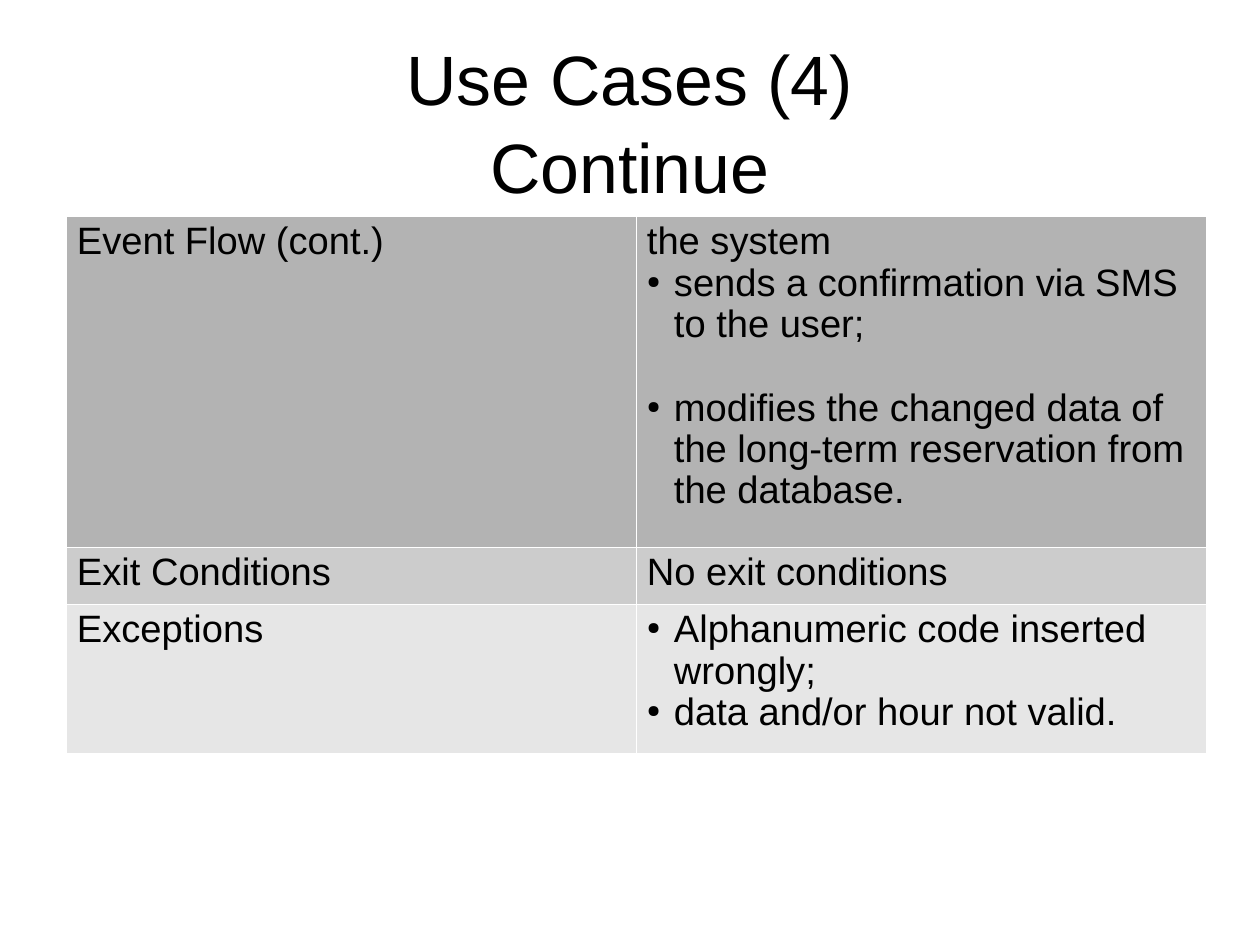
"""Build the use case table slide and save it."""
from lxml import etree
from pptx import Presentation, util as u
from pptx.dml.color import RGBColor
from pptx.enum import text
from pptx.oxml import ns

TITLE = "Use Cases (4)\vContinue"
ROWS = [
    ("Event Flow (cont.)",
     ["the system",
      "• sends a confirmation via SMS to the user;",
      "• modifies the changed data of the long-term reservation from the database."]),
    ("Exit Conditions", ["No exit conditions"]),
    ("Exceptions",
     ["• Alphanumeric code inserted wrongly;",
      "• data and/or hour not valid."]),
]
ROW_HEIGHTS = [331, 57, 149]
SPACED = {ROWS[0][1][2]: 27}

THEME = {
    "font": "Arial", "ink": "000000", "border": "FFFFFF",
    "fills": ["B3B3B3", "CCCCCC", "E6E6E6"],
    "title": 44, "body": 24,
}
SCALE = 8000
SLIDE = (1260, 945)
TITLE_BOX = (63, 40, 1134, 158)
TABLE_LEFT, TABLE_TOP, COLUMN = 66, 216, 570
INSET_X, INSET_Y, INDENT = 11, 6, 27


def px(n):
    return u.Emu(n * SCALE)


def add_child(parent, tag, **attrs):
    child = etree.SubElement(parent, ns.qn(tag))
    for key, value in attrs.items():
        child.set(key, str(value))
    return child


def write(p, content, size=THEME["body"], align=text.PP_ALIGN.LEFT,
          spacing=0.97, before=0, bullet=False):
    p.text = content
    p.alignment = align
    p.line_spacing = spacing
    p.space_before = u.Pt(before)
    for r in p.runs:
        r.font.size = u.Pt(size)
        r.font.name = THEME["font"]
        r.font.bold = False
        r.font.color.rgb = RGBColor.from_string(THEME["ink"])
    if bullet:
        pPr = p._p.get_or_add_pPr()
        pPr.set("marL", str(px(INDENT)))
        pPr.set("indent", str(-px(INDENT)))
        add_child(add_child(pPr, "a:buClr"), "a:srgbClr", val=THEME["ink"])
        add_child(pPr, "a:buSzPct", val=45000)
        add_child(pPr, "a:buChar", char="●")


def style_cell(cell, fill):
    cell.margin_left = cell.margin_right = px(INSET_X)
    cell.margin_top = cell.margin_bottom = px(INSET_Y)
    cell.fill.solid()
    cell.fill.fore_color.rgb = RGBColor.from_string(fill)
    tcPr = cell._tc.get_or_add_tcPr()
    for i, side in enumerate(("lnL", "lnR", "lnT", "lnB")):
        ln = add_child(tcPr, f"a:{side}", w=762)
        add_child(add_child(ln, "a:solidFill"), "a:srgbClr", val=THEME["border"])
        tcPr.insert(i, ln)


def add_title(s):
    tf = s.shapes.add_textbox(*map(px, TITLE_BOX)).text_frame
    tf.word_wrap = True
    tf.vertical_anchor = text.MSO_ANCHOR.MIDDLE
    tf.margin_left = tf.margin_right = tf.margin_top = tf.margin_bottom = 0
    write(tf.paragraphs[0], TITLE, size=THEME["title"],
          align=text.PP_ALIGN.CENTER, spacing=1.05)


def add_use_cases(s):
    table = s.shapes.add_table(
        len(ROWS), 2, px(TABLE_LEFT), px(TABLE_TOP),
        px(2 * COLUMN), px(sum(ROW_HEIGHTS))).table
    table.first_row = table.horz_banding = False
    for column in table.columns:
        column.width = px(COLUMN)
    for i, (label, lines) in enumerate(ROWS):
        table.rows[i].height = px(ROW_HEIGHTS[i])
        for j, items in enumerate(([label], lines)):
            cell = table.cell(i, j)
            style_cell(cell, THEME["fills"][i])
            tf = cell.text_frame
            for k, item in enumerate(items):
                p = tf.add_paragraph() if k else tf.paragraphs[0]
                write(p, item.removeprefix("• "), before=SPACED.get(item, 0),
                      bullet=item.startswith("• "))


def main():
    prs = Presentation()
    prs.slide_width, prs.slide_height = map(px, SLIDE)
    s = prs.slides.add_slide(prs.slide_layouts[6])
    add_title(s)
    add_use_cases(s)
    prs.save("out.pptx")


if __name__ == "__main__":
    main()
